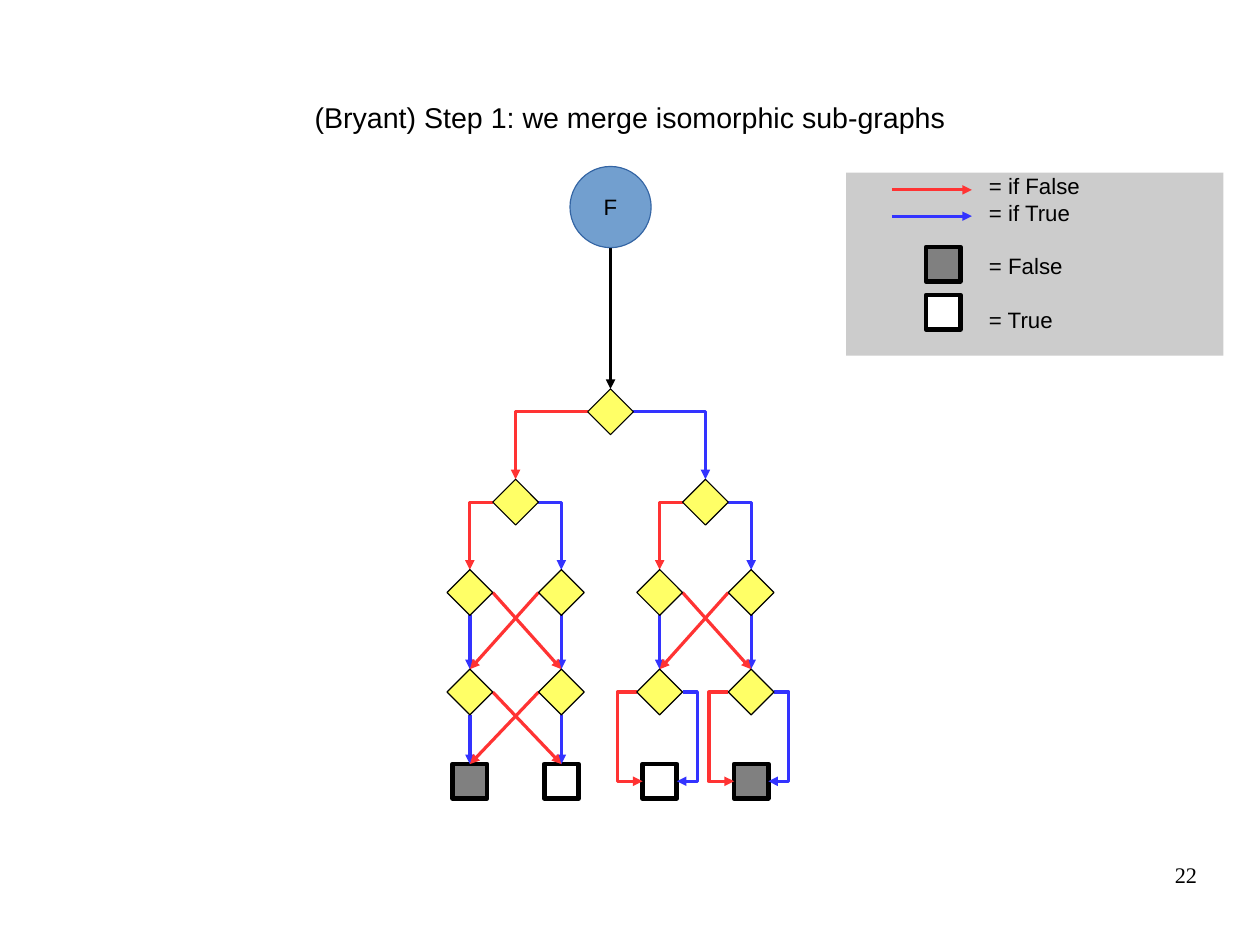
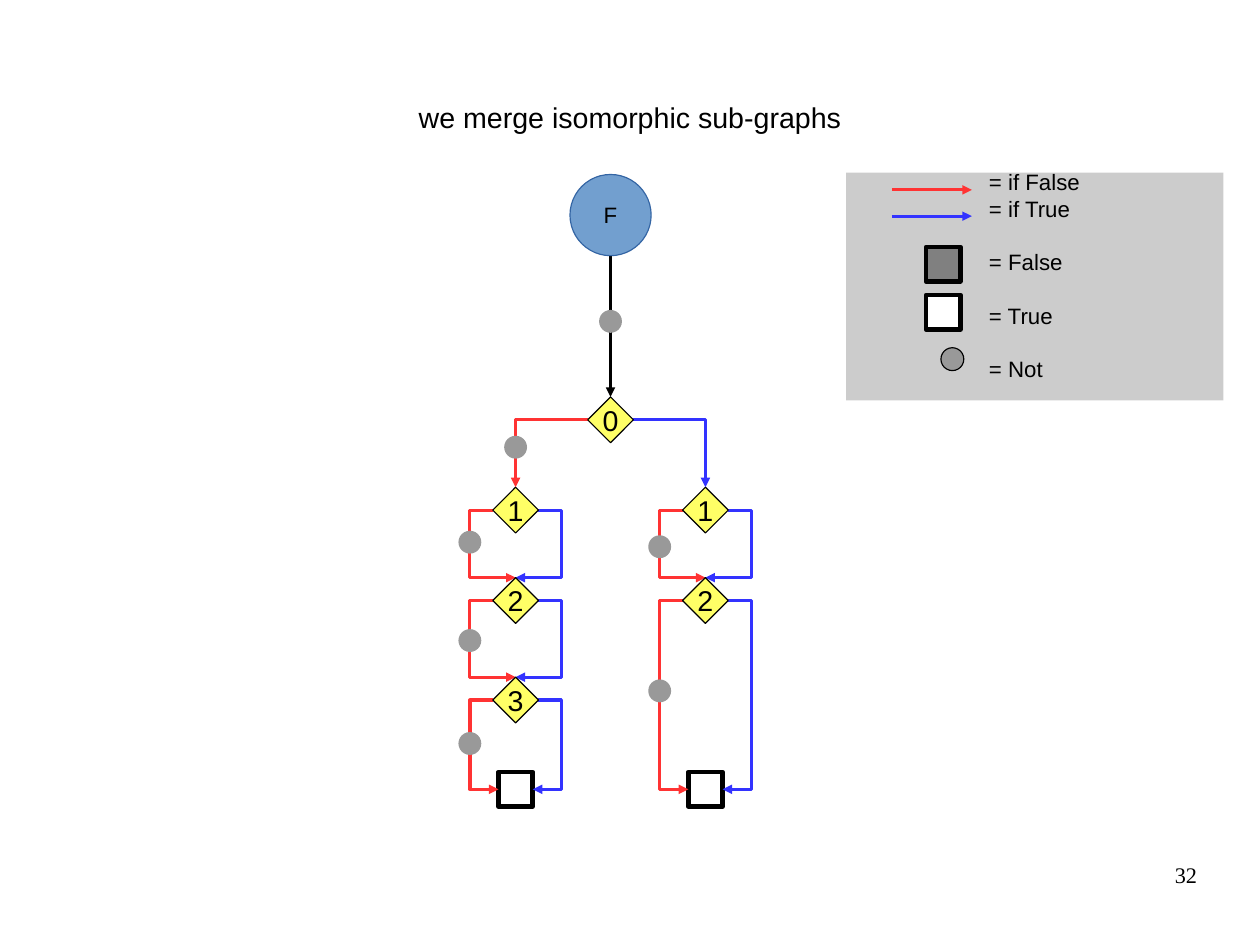
from lxml import etree
from pptx import Presentation
from pptx.dml.color import RGBColor
from pptx.enum.shapes import MSO_CONNECTOR, MSO_SHAPE
from pptx.enum.text import MSO_ANCHOR, PP_ALIGN
from pptx.oxml.ns import qn
from pptx.util import Inches, Pt

RECT, OVAL, DIAMOND = MSO_SHAPE.RECTANGLE, MSO_SHAPE.OVAL, MSO_SHAPE.DIAMOND
STRAIGHT, ELBOW = MSO_CONNECTOR.STRAIGHT, MSO_CONNECTOR.ELBOW
LEFT_AL, CENTER, RIGHT_AL = PP_ALIGN.LEFT, PP_ALIGN.CENTER, PP_ALIGN.RIGHT
TOP, MIDDLE = MSO_ANCHOR.TOP, MSO_ANCHOR.MIDDLE

rgb = RGBColor.from_string
BLACK, WHITE, GRAY, DOT = "000000", "FFFFFF", "808080", "999999"
RED, BLUE, YELLOW, PANEL = "FF3333", "3333FF", "FFFF66", "CCCCCC"
ROOT_FILL, ROOT_LINE = "729FCF", "3465A4"
LINE_PITCH = Pt(16.8)
LEFT, MID, RIGHT = 4.51, 5.34, 6.17
SPREAD, HALF = 0.4, 0.2


def node(s, kind, cx, cy, w, h, fill, line=None, width=0):
    sp = s.shapes.add_shape(kind, Inches(cx - w / 2), Inches(cy - h / 2),
                            Inches(w), Inches(h))
    sp.shadow.inherit = False
    sp.fill.solid()
    sp.fill.fore_color.rgb = rgb(fill)
    if line:
        sp.line.color.rgb = rgb(line)
        sp.line.width = Pt(width)
    else:
        sp.line.fill.background()
    return sp


def edge(s, color, x1, y1, x2, y2, via=None):
    cn = s.shapes.add_connector(STRAIGHT if via is None else ELBOW,
                                Inches(x1), Inches(y1), Inches(x2), Inches(y2))
    cn.line.color.rgb = rgb(color)
    cn.line.width = Pt(0)
    sppr = cn._element.spPr
    tail = etree.SubElement(sppr.find(qn("a:ln")), qn("a:tailEnd"))
    tail.set("type", "triangle")
    etree.SubElement(sppr, qn("a:effectLst"))
    geom = sppr.find(qn("a:prstGeom"))
    if via == x2:
        geom.set("prst", "bentConnector2")
    elif via is not None:
        adj = round((via - x1) / (x2 - x1) * 100000)
        gd = etree.SubElement(geom.find(qn("a:avLst")), qn("a:gd"))
        gd.set("name", "adj1")
        gd.set("fmla", f"val {adj}")


tree_edges, tree_diamonds = [], []
for parent in (LEFT, RIGHT):
    a, b = parent - SPREAD, parent + SPREAD
    tree_edges += [(RED, parent - HALF, 4.39, a, 4.98, a),
                   (BLUE, parent + HALF, 4.39, b, 4.98, b)]
    tree_diamonds += [(x, y, "") for y in (5.18, 6.05) for x in (a, b)]
    spans = [(5.18, 5.85), (6.05, 6.68)] if parent == LEFT else [(5.18, 5.85)]
    for y, end in spans:
        tree_edges += [(BLUE, x, y + HALF, x, end) for x in (a, b)]
        tree_edges += [(RED, a + HALF, y, b, end), (RED, b - HALF, y, a, end)]
for x, via_left, via_right in [(RIGHT - SPREAD, 5.4, 6.1), (RIGHT + SPREAD, 6.2, 6.9)]:
    tree_edges += [(RED, x - HALF, 6.05, x - 0.15, 6.83, via_left),
                   (BLUE, x + HALF, 6.05, x + 0.15, 6.83, via_right)]

merged_edges, dots = [], [(MID, 2.81), (LEFT, 3.91)]
for x, y, end_gap, end, dot_y in [(LEFT, 4.46, 0, 5.05, 4.74), (LEFT, 5.25, 0, 5.92, 5.6),
                                  (LEFT, 6.12, 0.15, 6.9, 6.5),
                                  (RIGHT, 4.46, 0, 5.05, 4.78),
                                  (RIGHT, 5.25, 0.15, 6.9, 6.04)]:
    for color, side in ((RED, -1), (BLUE, 1)):
        merged_edges.append((color, x + side * HALF, y, x + side * end_gap, end,
                             x + side * SPREAD))
    dots.append((x - SPREAD, dot_y))

legend = ["= if False", "= if True", "= False", "= True"]
slides = [
    {"title": "(Bryant) Step 1: we merge isomorphic sub-graphs", "number": "22",
     "dy": 0, "names": ("", ""), "edges": tree_edges, "diamonds": tree_diamonds,
     "leaves": [(LEFT - SPREAD, 6.83, GRAY), (LEFT + SPREAD, 6.83, WHITE),
                (RIGHT - SPREAD, 6.83, WHITE), (RIGHT + SPREAD, 6.83, GRAY)],
     "dots": [], "legend": legend, "legend_h": 1.6},
    {"title": "we merge isomorphic sub-graphs", "number": "32",
     "dy": 0.07, "names": ("0", "1"), "edges": merged_edges,
     "diamonds": [(LEFT, 5.25, "2"), (RIGHT, 5.25, "2"), (LEFT, 6.12, "3")],
     "leaves": [(LEFT, 6.9, WHITE), (RIGHT, 6.9, WHITE)],
     "dots": dots, "legend": legend + ["= Not"], "legend_h": 1.99},
]

prs = Presentation()
prs.slide_width, prs.slide_height = Inches(11.02), Inches(8.27)

for d in slides:
    s = prs.slides.add_slide(prs.slide_layouts[5])
    dy = d["dy"]
    title = s.shapes.title
    box = {"left": 0.55, "top": 0.33, "width": 9.92, "height": 1.38}
    for name, value in box.items():
        setattr(title, name, Inches(value))
    texts = [(title, [d["title"]], "Arial", 18, CENTER, MIDDLE, True)]

    for x, y, fill in d["leaves"]:
        node(s, RECT, x, y, 0.3, 0.3, fill, BLACK, 3)

    edge(s, BLACK, MID, 2.17 + dy, MID, 3.4 + dy)
    for color, x, end in ((BLUE, MID + HALF, RIGHT), (RED, MID - HALF, LEFT)):
        edge(s, color, x, 3.6 + dy, end, 4.19 + dy, end)
    for e in d["edges"]:
        edge(s, *e)

    sp = node(s, OVAL, MID, 1.81 + dy, 0.71, 0.71, ROOT_FILL, ROOT_LINE)
    texts.append((sp, ["F"], "Arial", 14, CENTER, MIDDLE, False))
    first, second = d["names"]
    top_diamonds = [(MID, 3.6 + dy, first), (LEFT, 4.39 + dy, second),
                    (RIGHT, 4.39 + dy, second)]
    for x, y, name in top_diamonds + d["diamonds"]:
        sp = node(s, DIAMOND, x, y, 0.4, 0.4, YELLOW, BLACK)
        if name:
            texts.append((sp, [name], "Arial", 18, CENTER, MIDDLE, False))
    for x, y in d["dots"]:
        node(s, OVAL, x, y, 0.2, 0.2, DOT)

    h = d["legend_h"]
    panel = node(s, RECT, 9.05, 1.51 + h / 2, 3.3, h, PANEL)
    texts.append((panel, d["legend"], "Arial", 14, LEFT_AL, MIDDLE, True))
    for y, fill in ((2.31, GRAY), (2.73, WHITE)):
        node(s, RECT, 8.25, y, 0.3, 0.3, fill, BLACK, 3)
    for y, color in ((1.66, RED), (1.89, BLUE)):
        edge(s, color, 7.8, y, 8.5, y)
    if "= Not" in d["legend"]:
        node(s, OVAL, 8.33, 3.14, 0.2, 0.2, DOT, BLACK)

    number = s.shapes.add_textbox(Inches(7.9), Inches(7.53), Inches(2.57), Inches(0.57))
    texts.append((number, [d["number"]], "Times New Roman", 14, RIGHT_AL, TOP, True))

    for sp, lines, font, size, align, anchor, wrap in texts:
        tf = sp.text_frame
        frame = {"margin_left": 0, "margin_right": 0, "margin_top": 0,
                 "margin_bottom": 0, "vertical_anchor": anchor, "word_wrap": wrap}
        if sp is panel:
            frame.update(margin_left=Inches(1.25), margin_bottom=Inches(0.2))
        for name, value in frame.items():
            setattr(tf, name, value)
        for i, line in enumerate(lines):
            p = tf.add_paragraph() if i else tf.paragraphs[0]
            p.alignment = align
            if sp is panel:
                p.line_spacing = LINE_PITCH
                p.space_before = LINE_PITCH if i > 1 else Pt(0)
            r = p.add_run()
            r.text = line
            for name, value in {"name": font, "size": Pt(size)}.items():
                setattr(r.font, name, value)
            r.font.color.rgb = rgb(BLACK)

prs.save("out.pptx")
